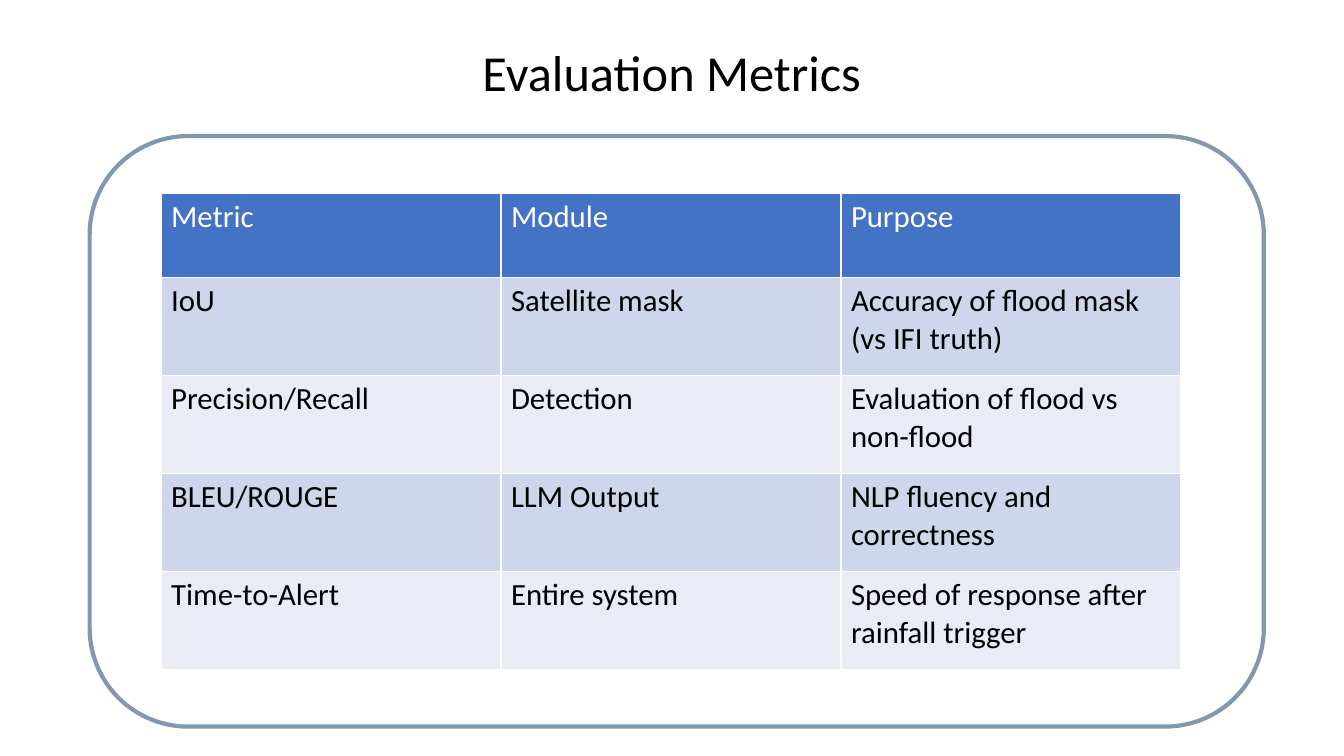
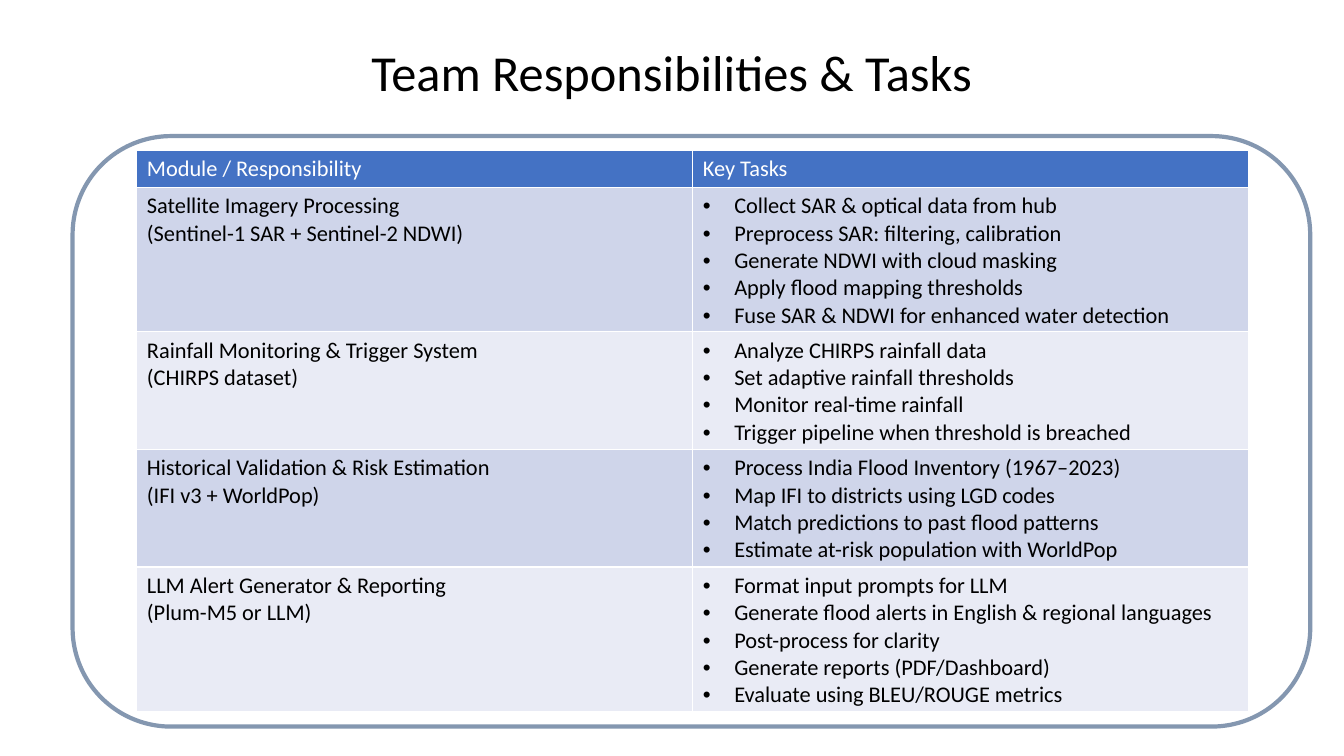
from lxml import etree
from pptx import Presentation
from pptx.dml.color import RGBColor
from pptx.enum.shapes import MSO_SHAPE
from pptx.enum.text import PP_ALIGN
from pptx.oxml.ns import qn
from pptx.util import Cm, Pt

ROUNDED = MSO_SHAPE.ROUNDED_RECTANGLE
CENTER = PP_ALIGN.CENTER

FONT = "Calibri"
BLACK = RGBColor(0x00, 0x00, 0x00)
WHITE = RGBColor(0xFF, 0xFF, 0xFF)
HEADER = RGBColor(0x44, 0x72, 0xC4)
BANDS = (RGBColor(0xE9, 0xEB, 0xF5), RGBColor(0xCF, 0xD5, 0xEA))
FRAME = RGBColor(0x84, 0x97, 0xB0)

METRICS = [
    ("Metric", "Module", "Purpose"),
    ("IoU", "Satellite mask", "Accuracy of flood mask (vs IFI truth)"),
    ("Precision/Recall", "Detection", "Evaluation of flood vs non-flood"),
    ("BLEU/ROUGE", "LLM Output", "NLP fluency and correctness"),
    ("Time-to-Alert", "Entire system", "Speed of response after rainfall trigger"),
]

TASKS = [
    ("Module / Responsibility", "Key Tasks"),
    (
        "Satellite Imagery Processing\n(Sentinel-1 SAR + Sentinel-2 NDWI)",
        "Collect SAR & optical data from hub\n"
        "Preprocess SAR: filtering, calibration\n"
        "Generate NDWI with cloud masking\n"
        "Apply flood mapping thresholds\n"
        "Fuse SAR & NDWI for enhanced water detection",
    ),
    (
        "Rainfall Monitoring & Trigger System\n(CHIRPS dataset)",
        "Analyze CHIRPS rainfall data\n"
        "Set adaptive rainfall thresholds\n"
        "Monitor real-time rainfall\n"
        "Trigger pipeline when threshold is breached",
    ),
    (
        "Historical Validation & Risk Estimation\n(IFI v3 + WorldPop)",
        "Process India Flood Inventory (1967–2023)\n"
        "Map IFI to districts using LGD codes\n"
        "Match predictions to past flood patterns\n"
        "Estimate at-risk population with WorldPop",
    ),
    (
        "LLM Alert Generator & Reporting\n(Plum-M5 or LLM)",
        "Format input prompts for LLM\n"
        "Generate flood alerts in English & regional languages\n"
        "Post-process for clarity\n"
        "Generate reports (PDF/Dashboard)\n"
        "Evaluate using BLEU/ROUGE metrics",
    ),
]


def style_runs(p, size, color):
    for r in p.runs:
        r.font.name = FONT
        r.font.size = Pt(size)
        r.font.bold = False
        r.font.color.rgb = color


def add_bullet(p):
    pPr = p._p.get_or_add_pPr()
    pPr.set("marL", str(Cm(0.79)))
    pPr.set("indent", str(-Cm(0.79)))
    etree.SubElement(pPr, qn("a:buFont"), typeface="Arial")
    etree.SubElement(pPr, qn("a:buChar"), char="•")


def add_frame(slide, left, width):
    sp = slide.shapes.add_shape(ROUNDED, Cm(left), Cm(3.43), Cm(width), Cm(14.88))
    sp.shadow.inherit = False
    sp.fill.background()
    sp.line.color.rgb = FRAME
    sp.line.width = Pt(3)


def add_title(slide, text):
    sp = slide.shapes.add_textbox(Cm(4.65), Cm(1.09), Cm(24.56), Cm(1.91))
    tf = sp.text_frame
    tf.word_wrap = True
    tf.text = text
    p = tf.paragraphs[0]
    p.alignment = CENTER
    p.line_spacing = 0.9
    p.space_before = Pt(10)
    style_runs(p, 36, BLACK)


def add_grid(slide, rows, left, top, width, heights, size, bullet_col=None):
    count = len(rows[0])
    table = slide.shapes.add_table(
        len(rows), count, Cm(left), Cm(top), Cm(width), Cm(sum(heights))
    ).table
    for col in table.columns:
        col.width = Cm(width / count)
    for i, (row, height) in enumerate(zip(rows, heights)):
        table.rows[i].height = Cm(height)
        for j, text in enumerate(row):
            cell = table.cell(i, j)
            cell.fill.solid()
            cell.fill.fore_color.rgb = BANDS[i % 2] if i else HEADER
            cell.text_frame.text = text
            for p in cell.text_frame.paragraphs:
                style_runs(p, size, BLACK if i else WHITE)
                if i and j == bullet_col:
                    add_bullet(p)


def add_slide(prs, title, frame_left, frame_width):
    slide = prs.slides.add_slide(prs.slide_layouts[6])
    add_frame(slide, frame_left, frame_width)
    add_title(slide, title)
    return slide


def main():
    prs = Presentation()
    prs.slide_width, prs.slide_height = Cm(33.87), Cm(19.05)

    slide = add_slide(prs, "Evaluation Metrics", 2.26, 29.59)
    add_grid(slide, METRICS, 4.06, 4.88, 25.7, [2.11] + [2.47] * 4, 22)

    slide = add_slide(prs, "Team Responsibilities & Tasks", 1.83, 31.19)
    add_grid(slide, TASKS, 3.45, 3.78, 28.02, [0.94, 3.3, 2.69, 2.69, 3.3], 16,
             bullet_col=1)

    prs.save("out.pptx")


if __name__ == "__main__":
    main()
